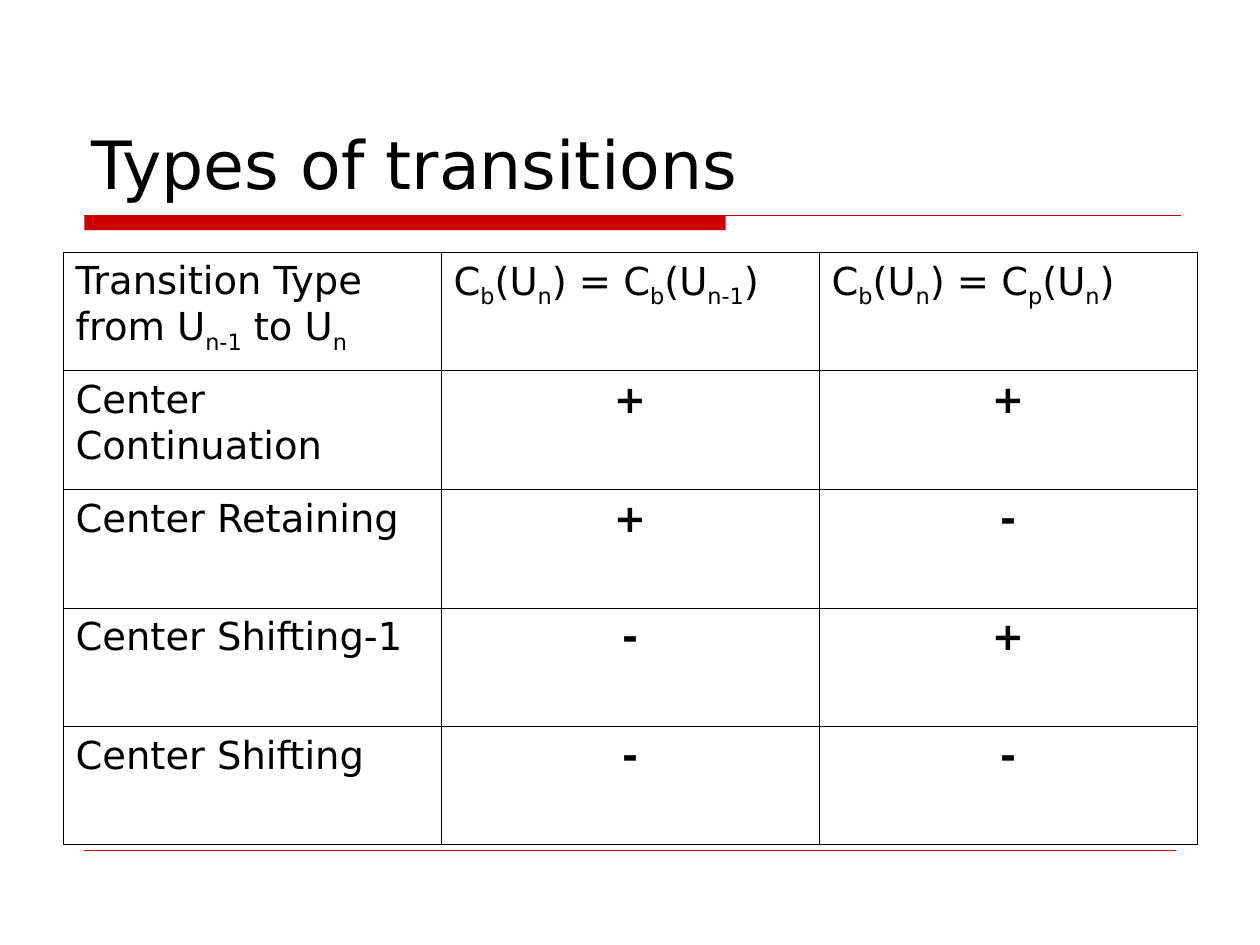
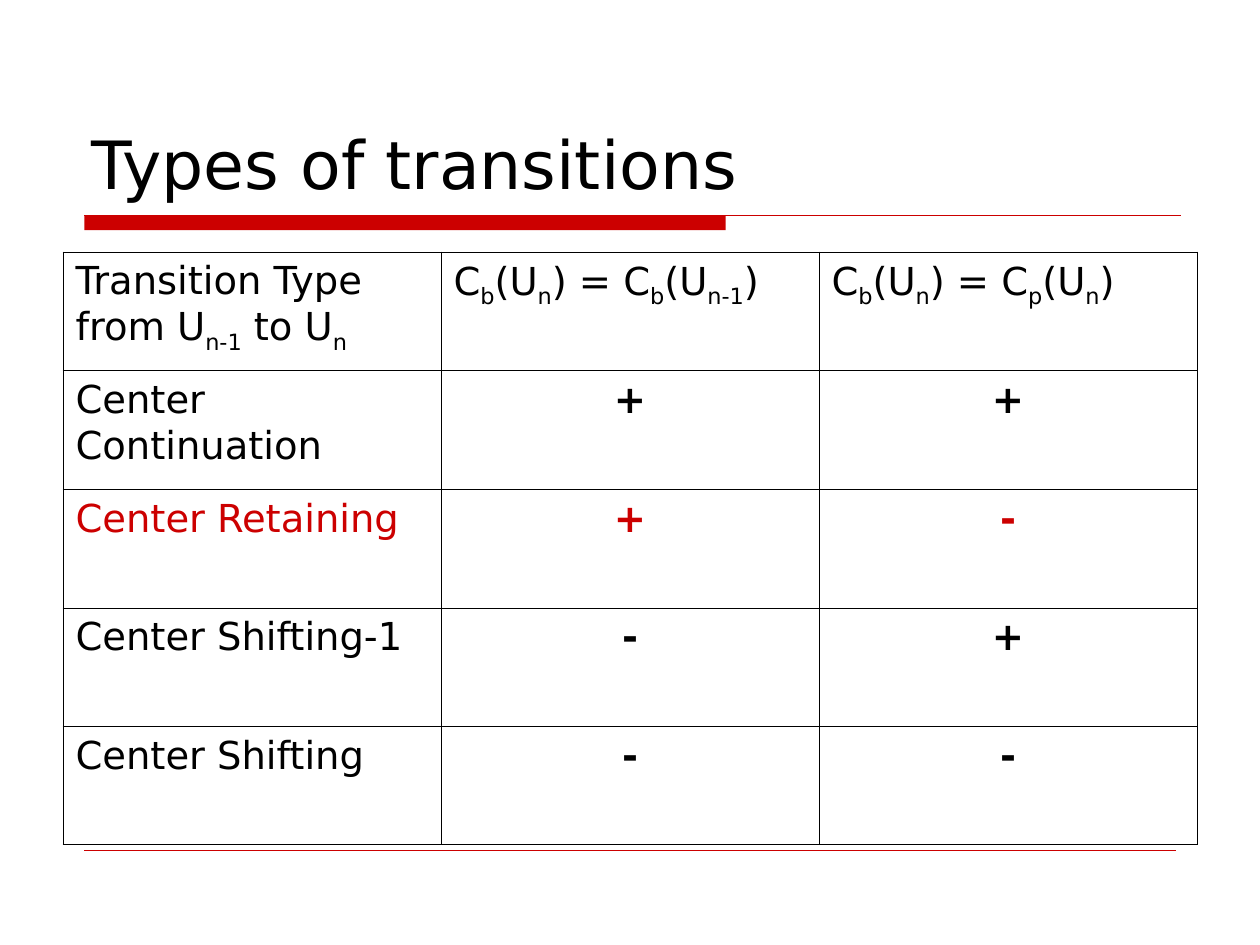
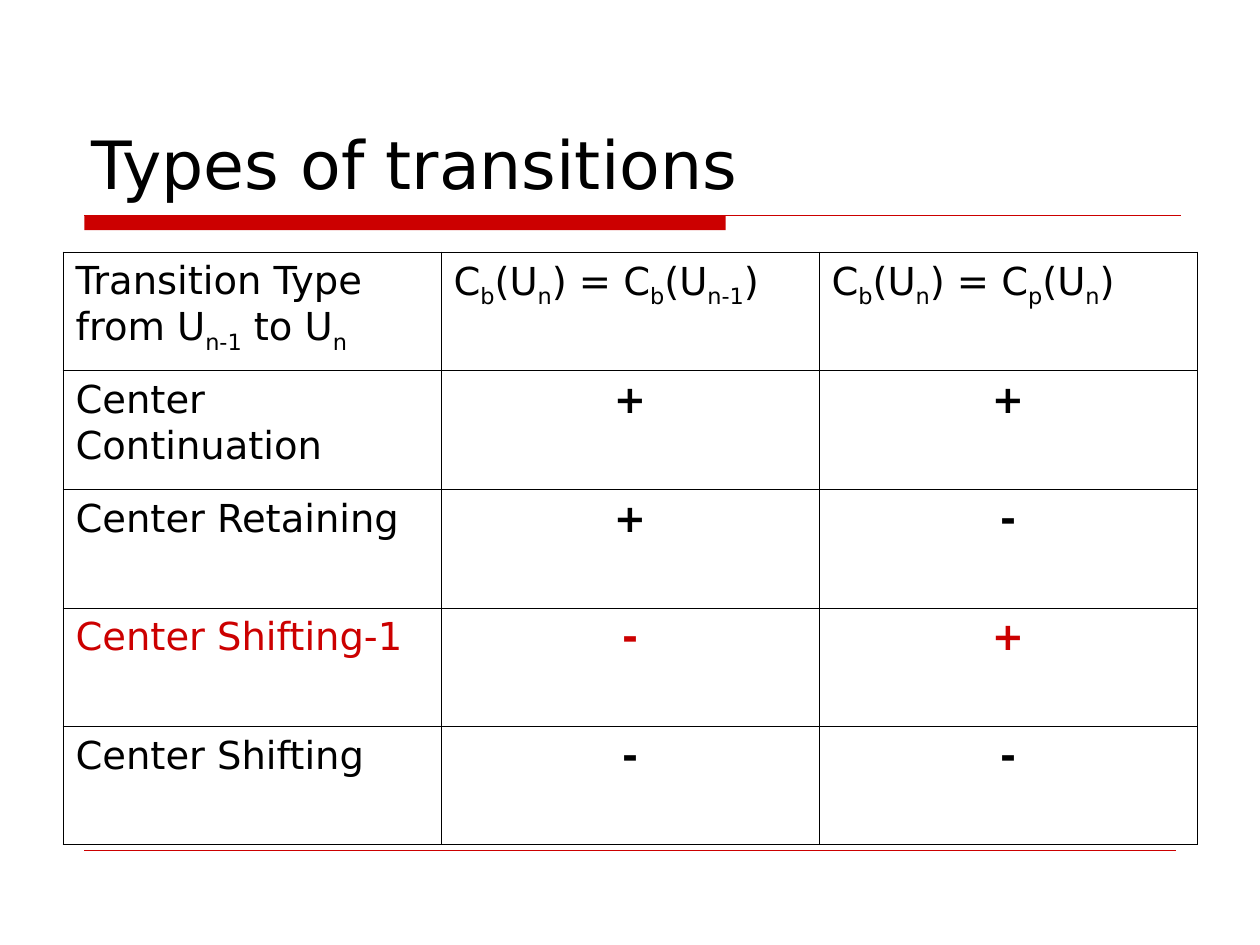
"""Build three slides on transition types, two of them with a highlighted row."""
import pptx
import pptx.dml.color
import pptx.enum.shapes
import pptx.enum.text
import pptx.oxml
import pptx.oxml.ns
import pptx.util

Cm, Pt = pptx.util.Cm, pptx.util.Pt
RGBColor = pptx.dml.color.RGBColor
ALIGN = pptx.enum.text.PP_ALIGN
ANCHOR = pptx.enum.text.MSO_ANCHOR

TITLE = "Types of transitions"
ROWS = [
    ("Transition Type from U_n-1_ to U_n_", "C_b_(U_n_) = C_b_(U_n-1_)", "C_b_(U_n_) = C_p_(U_n_)"),
    ("Center Continuation", "+", "+"),
    ("Center Retaining", "+", "-"),
    ("Center Shifting-1", "-", "+"),
    ("Center Shifting", "-", "-"),
]
HIGHLIGHTS = [None, "Center Retaining", "Center Shifting-1"]

RED = RGBColor(0xCC, 0x00, 0x00)
BLACK = RGBColor(0x00, 0x00, 0x00)
FONT = "DejaVu Sans"
TITLE_FORMAT = {"name": FONT, "size": Pt(38), "bold": False}
CELL_FORMAT = {"name": FONT, "size": Pt(22)}

LEFT, RULE_TOP = Cm(1.7), Cm(4.34)
BAND_SIZE = Cm(12.93), Cm(0.3)
RULES = [(RULE_TOP, Cm(23.8), Pt(0.75)), (Cm(17.15), Cm(23.7), Pt(0.25))]
TITLE_BOX = {"left": Cm(1.6), "top": Cm(0.84), "width": Cm(22.22), "height": Cm(3.38)}
TABLE_LEFT, TABLE_TOP = Cm(1.27), Cm(5.08)
COLUMN_WIDTH, ROW_HEIGHT = Cm(7.62), Cm(2.39)
OUTER, INNER = Pt(0.5), Pt(0.23)


def apply(target, values):
    for name, value in values.items():
        setattr(target, name, value)


def add_run(p, text, color, values):
    r = p.add_run()
    r.text = text
    apply(r.font, values)
    r.font.color.rgb = color
    return r


def add_frame(s):
    band = s.shapes.add_shape(pptx.enum.shapes.MSO_SHAPE.RECTANGLE, LEFT, RULE_TOP, *BAND_SIZE)
    band.shadow.inherit = False
    band.fill.solid()
    band.fill.fore_color.rgb = RED
    band.line.fill.background()
    for y, right, width in RULES:
        rule = s.shapes.add_connector(pptx.enum.shapes.MSO_CONNECTOR.STRAIGHT, LEFT, y, right, y)
        rule.line.color.rgb = RED
        rule.line.width = width
        pptx.oxml.ns.qn("a:effectLst")
        rule._element.spPr.append(
            pptx.oxml.parse_xml(f"<a:effectLst {pptx.oxml.ns.nsdecls('a')}/>"))


def add_title(s):
    title = s.shapes.title
    apply(title, TITLE_BOX)
    tf = title.text_frame
    apply(tf, {"word_wrap": True, "vertical_anchor": ANCHOR.BOTTOM,
               "auto_size": pptx.enum.text.MSO_AUTO_SIZE.NONE})
    p = tf.paragraphs[0]
    p.alignment = ALIGN.LEFT
    add_run(p, TITLE, BLACK, TITLE_FORMAT)


def set_borders(cell, row, column):
    outer = {"L": column == 0, "R": column == len(ROWS[0]) - 1,
             "T": row == 0, "B": row == len(ROWS) - 1}
    tc_pr = cell._tc.get_or_add_tcPr()
    for side, is_outer in outer.items():
        tc_pr.append(pptx.oxml.parse_xml(
            f'<a:ln{side} {pptx.oxml.ns.nsdecls("a")} w="{OUTER if is_outer else INNER}">'
            f'<a:solidFill><a:srgbClr val="{BLACK}"/></a:solidFill></a:ln{side}>'))


def fill_cell(cell, text, color, is_mark):
    p = cell.text_frame.paragraphs[0]
    apply(p, {"line_spacing": 1.02, "alignment": ALIGN.CENTER if is_mark else ALIGN.LEFT})
    for i, part in enumerate(text.split("_")):
        if part:
            r = add_run(p, part, color, {**CELL_FORMAT, "bold": is_mark})
            if i % 2:
                r._r.get_or_add_rPr().set("baseline", "-25000")


def add_transitions(s, highlight):
    rows, columns = len(ROWS), len(ROWS[0])
    table = s.shapes.add_table(rows, columns, TABLE_LEFT, TABLE_TOP,
                               columns * COLUMN_WIDTH, rows * ROW_HEIGHT).table
    apply(table, {"first_row": False, "horz_banding": False})
    for i, texts in enumerate(ROWS):
        color = RED if texts[0] == highlight else BLACK
        for j, text in enumerate(texts):
            cell = table.cell(i, j)
            set_borders(cell, i, j)
            cell.fill.background()
            fill_cell(cell, text, color, i > 0 and j > 0)


def main():
    prs = pptx.Presentation()
    apply(prs, {"slide_width": Cm(25.4), "slide_height": Cm(19.05)})
    for highlight in HIGHLIGHTS:
        s = prs.slides.add_slide(prs.slide_layouts[5])
        add_frame(s)
        add_title(s)
        add_transitions(s, highlight)
    prs.save("out.pptx")


if __name__ == "__main__":
    main()
